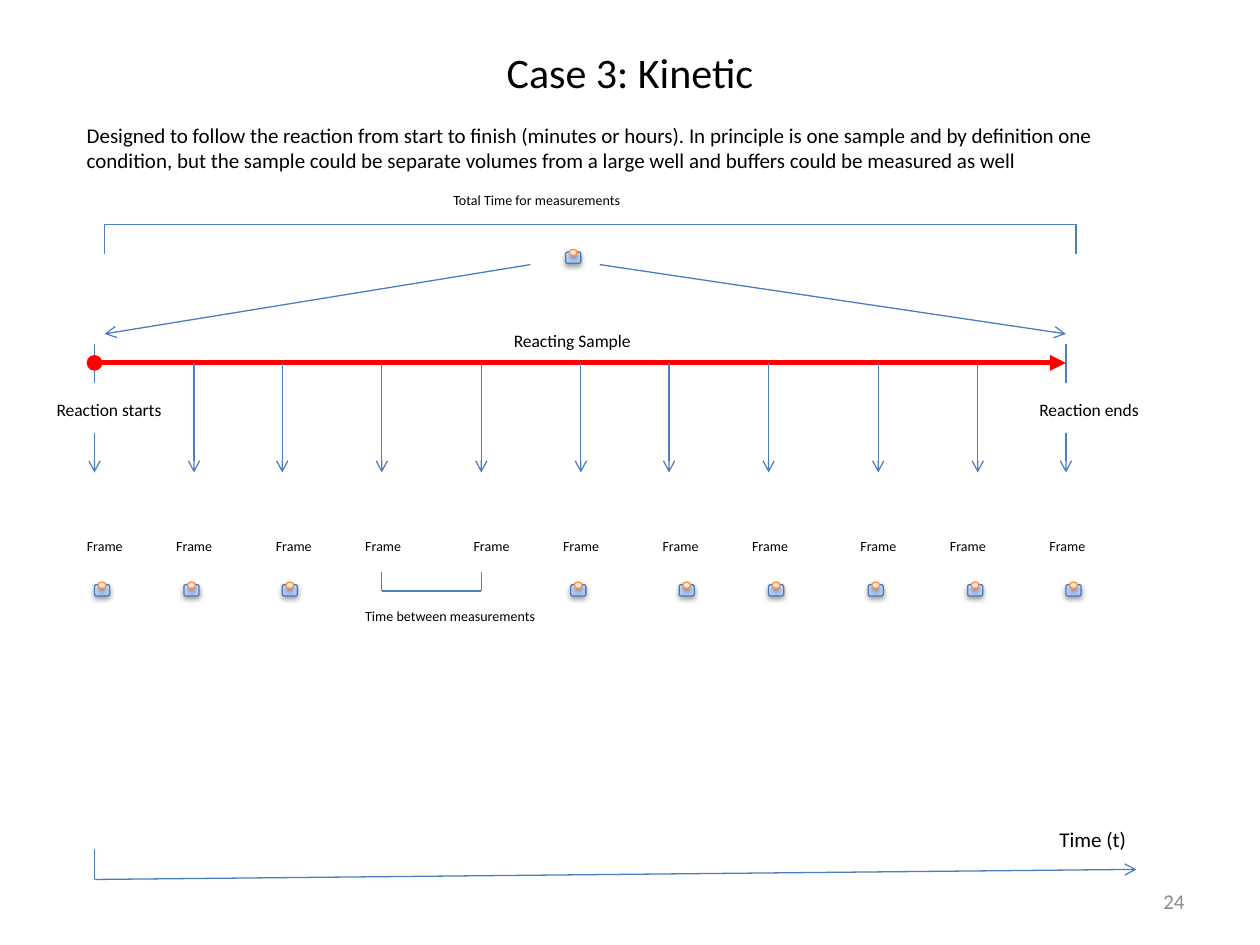
import dataclasses

import pptx
import pptx.dml.color
import pptx.enum.shapes
import pptx.enum.text
import pptx.oxml
import pptx.oxml.ns
import pptx.util

Inches = pptx.util.Inches
Pt = pptx.util.Pt
Color = pptx.dml.color.RGBColor.from_string
Align = pptx.enum.text.PP_ALIGN
Anchor = pptx.enum.text.MSO_ANCHOR
Preset = pptx.enum.shapes.MSO_SHAPE


@dataclasses.dataclass(frozen=True)
class Theme:
    font: str = "Calibri"
    text: str = "000000"
    muted: str = "8C8C8C"
    line: str = "4B7EBC"
    reaction: str = "FF0000"
    cap_line: str = "F69240"
    vessel_fill: tuple = ("A4C4FF", "BFD4FF", "E6EEFF")
    cap_fill: tuple = ("FFD2BD", "FFDED0", "FFF2ED")
    title_size: int = 24
    body_size: int = 12
    label_size: int = 10
    small_size: int = 8
    thin: float = 0.75
    thick: float = 3


THEME = Theme()
START, END = 0.75, 8.46
AXIS_Y = 2.88
ARROW_TIP_Y = 3.75
SAMPLING_TIMES = (1.54, 2.24, 3.03, 3.82, 4.61, 5.31, 6.1, 6.97, 7.76)
FRAME_LEFTS = (0.59, 1.3, 2.09, 2.8, 3.66, 4.37, 5.16, 5.87, 6.73, 7.44, 8.23)
SAMPLE_LEFTS = (0.75, 1.46, 2.24, 4.53, 5.39, 6.1, 6.89, 7.68, 8.46)


def make_element(tag, parent, **attributes):
    element = pptx.oxml.parse_xml(f"<{tag} {pptx.oxml.ns.nsdecls('a')}/>")
    for name, value in attributes.items():
        element.set(name, str(value))
    parent.append(element)
    return element


def style_text(frame, text, size, color=THEME.text, align=Align.LEFT):
    frame.text = text
    para = frame.paragraphs[0]
    para.alignment = align
    font = para.runs[0].font
    font.name = THEME.font
    font.size = Pt(size)
    font.color.rgb = Color(color)


def add_title(page, text):
    title = page.shapes.title
    title.left, title.top = Inches(0.5), Inches(0.3)
    title.width, title.height = Inches(9), Inches(0.54)
    title.text_frame.vertical_anchor = Anchor.MIDDLE
    style_text(title.text_frame, text, THEME.title_size, align=Align.CENTER)


def add_text(page, text, left, top, width, height, size, wrap=True):
    box = page.shapes.add_textbox(Inches(left), Inches(top), Inches(width), Inches(height))
    frame = box.text_frame
    frame.word_wrap = wrap
    frame.auto_size = pptx.enum.text.MSO_AUTO_SIZE.SHAPE_TO_FIT_TEXT
    style_text(frame, text, size)


def add_page_number(page, number):
    box = page.shapes.add_textbox(Inches(7.17), Inches(6.95), Inches(2.33), Inches(0.4))
    frame = box.text_frame
    frame.word_wrap = True
    frame.vertical_anchor = Anchor.MIDDLE
    style_text(frame, number, THEME.body_size, THEME.muted, Align.RIGHT)


def add_line(shapes, start, end, color=THEME.line, width=THEME.thin, head=None, tail=None):
    line = shapes.add_connector(
        pptx.enum.shapes.MSO_CONNECTOR.STRAIGHT,
        Inches(start[0]), Inches(start[1]), Inches(end[0]), Inches(end[1]))
    line.line.color.rgb = Color(color)
    line.line.width = Pt(width)
    outline = line.line._get_or_add_ln()
    if head:
        make_element("a:headEnd", outline, type=head)
    if tail:
        make_element("a:tailEnd", outline, type=tail)
    make_element("a:effectLst", line._element.spPr)


def add_bracket(page, left, right, bar_y, tip_y):
    group = page.shapes.add_group_shape()
    for x in (left, right):
        add_line(group.shapes, (x, tip_y), (x, bar_y))
    add_line(group.shapes, (left, bar_y), (right, bar_y))


def add_sample_part(shapes, preset, left, top, width, height, fill, line):
    part = shapes.add_shape(preset, Inches(left), Inches(top), Inches(width), Inches(height))
    part.fill.gradient()
    part.fill.gradient_angle = 90
    properties = part._element.spPr
    stops = properties.find(".//" + pptx.oxml.ns.qn("a:gsLst"))
    for stop in list(stops):
        stops.remove(stop)
    for position, color in zip((0, 35000, 100000), fill):
        stop = make_element("a:gs", stops, pos=position)
        make_element("a:srgbClr", stop, val=color)
    part.line.color.rgb = Color(line)
    part.line.width = Pt(THEME.thin)
    part.shadow.inherit = False
    effects = properties.find(pptx.oxml.ns.qn("a:effectLst"))
    shadow = make_element("a:outerShdw", effects, blurRad=Pt(3.1), dist=Pt(1.6),
                          dir=5400000, rotWithShape=0)
    shade = make_element("a:srgbClr", shadow, val=THEME.text)
    make_element("a:alpha", shade, val=38000)


def add_sample(page, left, top):
    shapes = page.shapes.add_group_shape().shapes
    add_sample_part(shapes, Preset.ROUNDED_RECTANGLE, left, top, 0.12, 0.09,
                    THEME.vessel_fill, THEME.line)
    add_sample_part(shapes, Preset.OVAL, left + 0.03, top - 0.02, 0.06, 0.05,
                    THEME.cap_fill, THEME.cap_line)


def add_reaction(page):
    add_sample(page, 4.49, 2)
    for x in (START, END):
        add_line(page.shapes, (x, 2.73), (x, 3.04))
    add_line(page.shapes, (START, AXIS_Y), (END, AXIS_Y), THEME.reaction, THEME.thick,
             head="oval", tail="triangle")
    add_line(page.shapes, (4.21, 2.1), (0.83, 2.65), tail="arrow")
    add_line(page.shapes, (4.76, 2.1), (END, 2.65), tail="arrow")
    for text, left, top, width in (
        ("Reaction starts", 0.35, 3.12, 1.18),
        ("Reaction ends", 8.15, 3.12, 1.1),
        ("Reacting Sample", 3.98, 2.57, 1.26),
    ):
        add_text(page, text, left, top, width, 0.27, THEME.label_size)


def add_frames(page):
    for x in (START, END):
        add_line(page.shapes, (x, 3.44), (x, ARROW_TIP_Y), tail="arrow")
    for x in SAMPLING_TIMES:
        add_line(page.shapes, (x, AXIS_Y), (x, ARROW_TIP_Y), tail="arrow")
    for left in FRAME_LEFTS:
        add_text(page, "Frame", left, 4.22, 0.55, 0.24, THEME.small_size)
    for left in SAMPLE_LEFTS:
        add_sample(page, left, 4.64)


def add_durations(page):
    add_bracket(page, 3.03, 3.82, bar_y=4.69, tip_y=4.54)
    add_text(page, "Time between measurements", 2.8, 4.77, 1.57, 0.24,
             THEME.small_size, wrap=False)
    add_bracket(page, 0.83, 8.54, bar_y=1.78, tip_y=2.02)
    add_text(page, "Total Time for measurements", 3.5, 1.47, 1.55, 0.24,
             THEME.small_size, wrap=False)


def add_time_axis(page):
    add_text(page, "Time (t)", 8.31, 6.51, 0.79, 0.3, THEME.body_size)
    add_line(page.shapes, (START, 6.98), (9.02, 6.9), tail="arrow")
    add_line(page.shapes, (START, 6.98), (START, 6.74))


def main():
    deck = pptx.Presentation()
    deck.slide_width, deck.slide_height = Inches(10), Inches(7.5)
    page = deck.slides.add_slide(deck.slide_layouts.get_by_name("Title Only"))
    add_title(page, "Case 3: Kinetic")
    add_page_number(page, "24")
    add_text(page, "Designed to follow the reaction from start to finish (minutes or hours). "
             "In principle is one sample and by definition one condition, but the sample could be "
             "separate volumes from a large well and buffers could be measured as well",
             0.59, 0.92, 8.74, 0.5, THEME.body_size)
    add_reaction(page)
    add_time_axis(page)
    add_frames(page)
    add_durations(page)
    deck.save("out.pptx")


if __name__ == "__main__":
    main()
